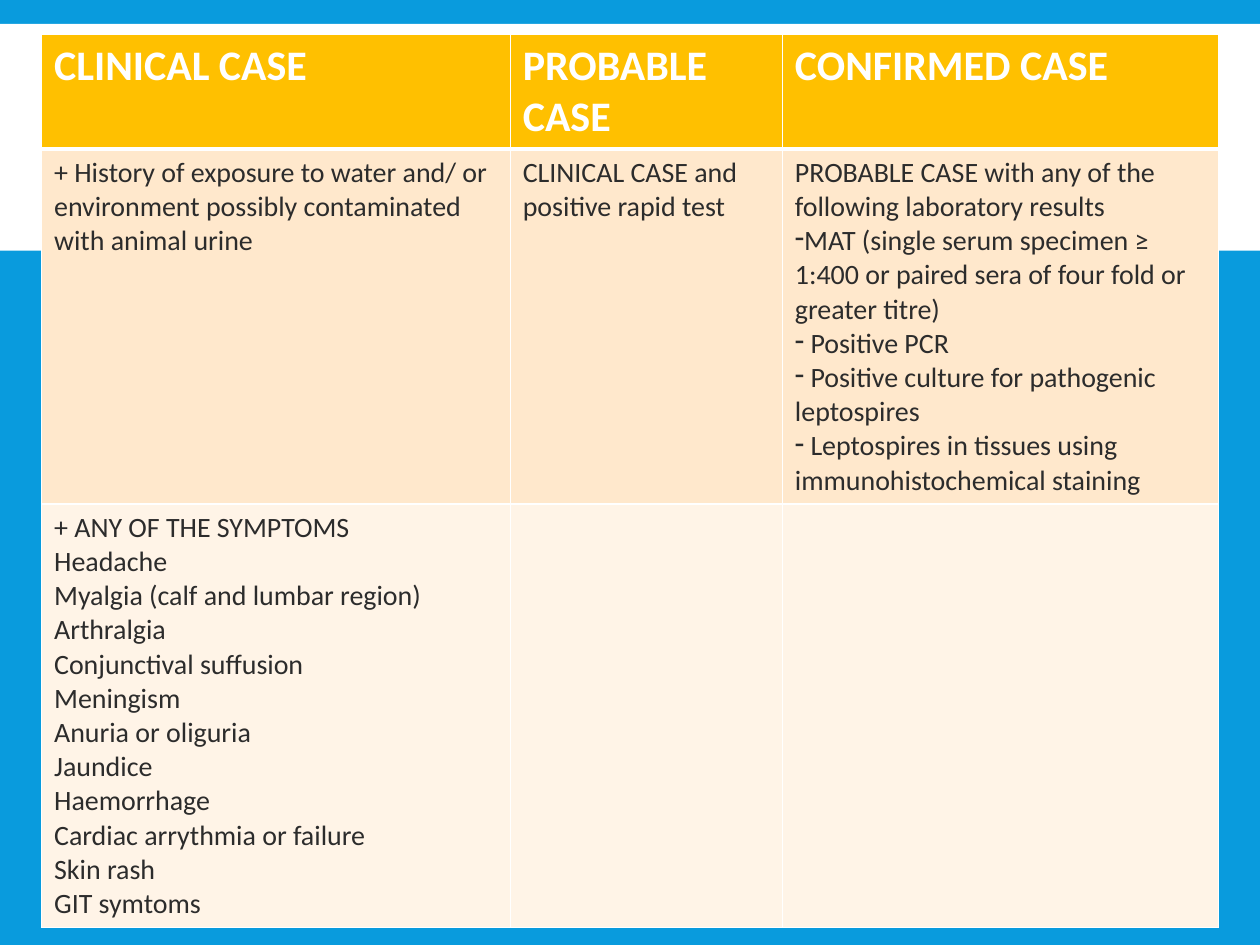
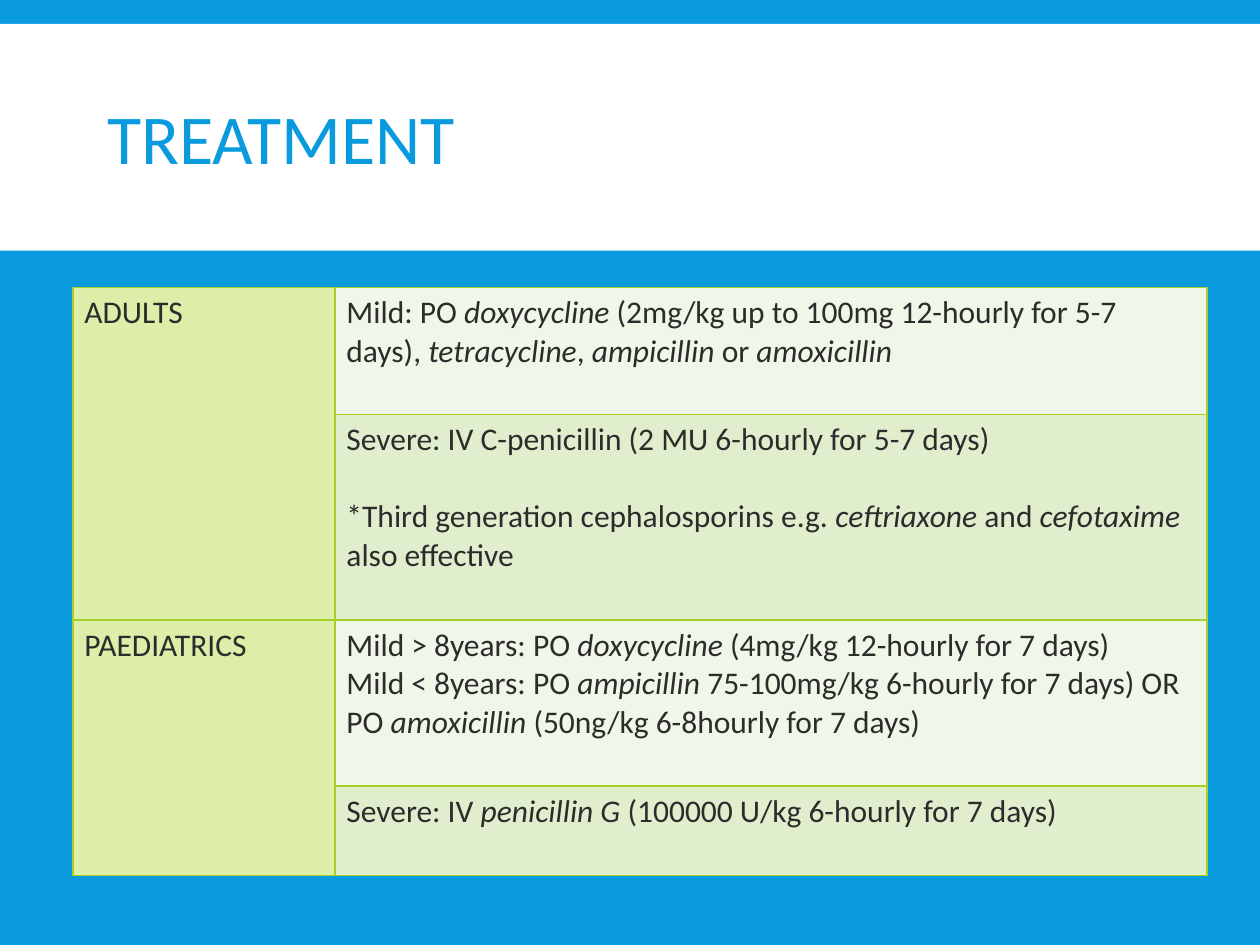
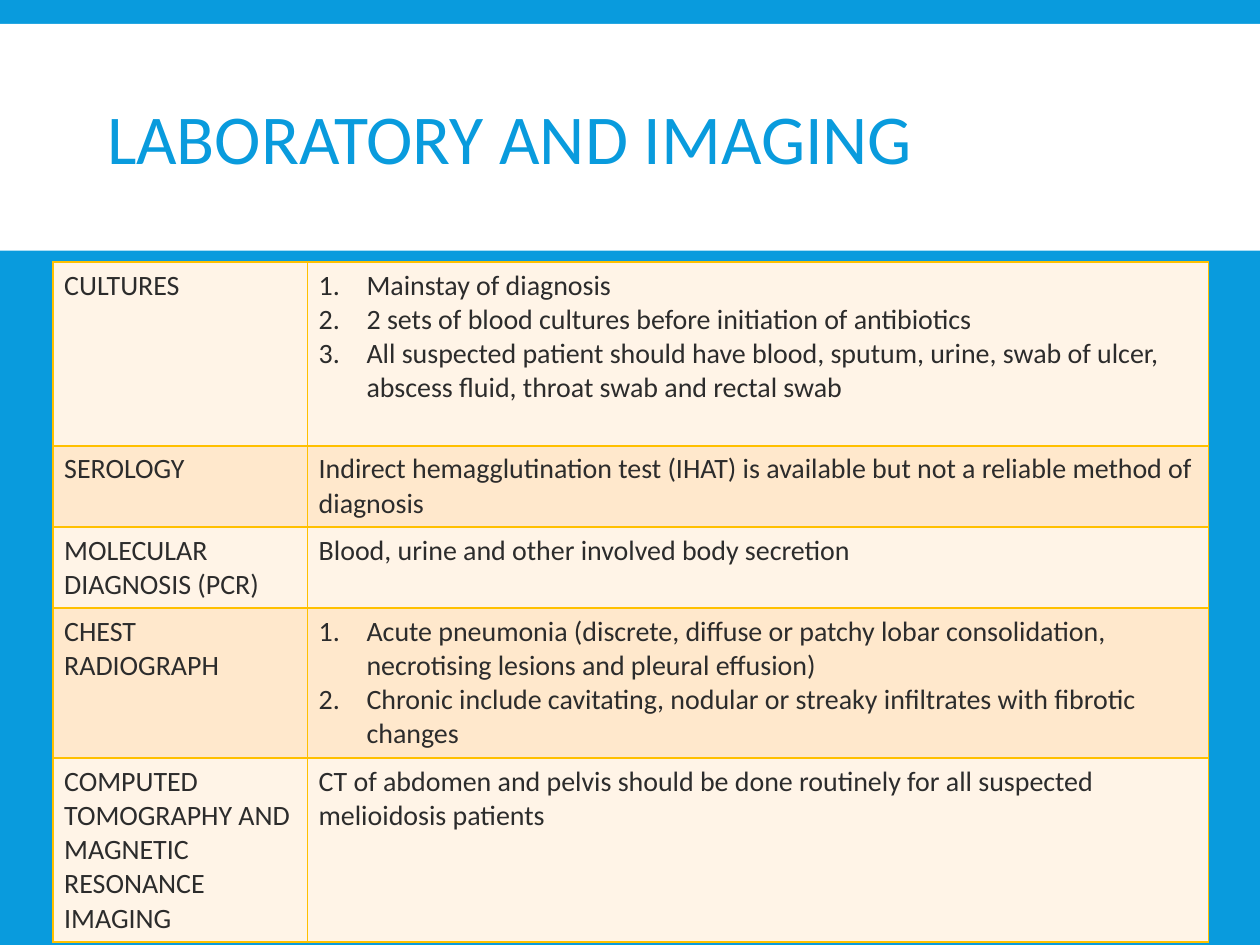
from dataclasses import dataclass

from lxml.etree import SubElement as Sub
from pptx import Presentation
from pptx.dml.color import RGBColor as Color
from pptx.enum.shapes import MSO_SHAPE as Shape
from pptx.enum.text import MSO_ANCHOR as Anchor, PP_ALIGN as Align
from pptx.oxml.ns import qn
from pptx.util import Inches, Pt

BLUE = Color(0x09, 0x9B, 0xDD)
WHITE = Color(0xFF, 0xFF, 0xFF)
INK = Color(0x2C, 0x2C, 0x2C)
GOLD = Color(0xFF, 0xC0, 0x00)
PEACH = Color(0xFF, 0xE8, 0xCC)
CREAM = Color(0xFF, 0xF4, 0xE7)
LIME = Color(0xA5, 0xD0, 0x28)
PALE = Color(0xDC, 0xEE, 0xA7)
MINT = Color(0xF0, 0xF7, 0xE8)
SAGE = Color(0xE1, 0xEE, 0xCD)
FONT = "Calibri"
COLS, ROWS = 100, 75
TITLE, BLANK = 5, 6


@dataclass
class Para:
    """A paragraph whose italic words stand between underscores."""
    text: str
    mark: str = ""
    gap: float = 0


@dataclass
class Look:
    """The text size, line colour and side inset of a table."""
    size: int
    line: Color
    inset: float


def grid(count):
    """Return the length of a number of grid steps."""
    return Inches(count / 10)


def place(shape, left, top, width, height):
    """Put a shape on the grid."""
    shape.left, shape.top = grid(left), grid(top)
    shape.width, shape.height = grid(width), grid(height)


def add_run(para, text, size, color, bold=False, italic=False):
    """Add one formatted run to a paragraph."""
    run = para.add_run()
    run.text = text
    font = run.font
    font.name, font.size, font.bold, font.italic = FONT, Pt(size), bold, italic
    font.color.rgb = color


def set_mark(para, mark):
    """Give a paragraph a number or a bullet character."""
    props = para._p.get_or_add_pPr()
    step = Inches(0.38) if mark == "1." else 0
    props.set("marL", str(step))
    props.set("indent", str(-step))
    if mark == "1.":
        Sub(props, qn("a:buAutoNum"), type="arabicPeriod")
    else:
        Sub(props, qn("a:buChar"), char=mark)


def write(frame, paras, size, color, bold=False):
    """Fill a text frame with paragraphs."""
    for i, item in enumerate(paras):
        item = item if isinstance(item, Para) else Para(item)
        para = frame.add_paragraph() if i else frame.paragraphs[0]
        para.space_before = Pt(item.gap)
        if item.mark:
            set_mark(para, item.mark)
        for j, part in enumerate(item.text.split("_")):
            if part:
                add_run(para, part, size, color, bold, j % 2 == 1)


def set_edge(cell, side, color, width):
    """Draw one border of a cell."""
    props = cell._tc.get_or_add_tcPr()
    line = Sub(props, qn(f"a:ln{side}"), w=str(Pt(width)))
    fill = Sub(line, qn("a:solidFill"))
    Sub(fill, qn("a:srgbClr"), val=str(color))


def style(cell, fill, look, base=1):
    """Set the borders, fill and insets of a cell."""
    for side in "LRTB":
        set_edge(cell, side, look.line, base if side == "B" else 1)
    cell.fill.solid()
    cell.fill.fore_color.rgb = fill
    cell.margin_left = cell.margin_right = Inches(look.inset)
    cell.margin_top = cell.margin_bottom = Inches(0.05)


def add_grid(slide, spot, widths, heights, data, fills, look, head=False):
    """Add a table with a fill for each cell."""
    frame = slide.shapes.add_table(
        len(heights), len(widths), grid(spot[0]), grid(spot[1]),
        grid(sum(widths)), grid(sum(heights)))
    table = frame.table
    table.first_row = table.horz_banding = False
    for col, width in zip(table.columns, widths):
        col.width = grid(width)
    for row, height in zip(table.rows, heights):
        row.height = grid(height)
    for i, (row, texts, tints) in enumerate(zip(table.rows, data, fills)):
        top = head and i == 0
        for cell, paras, tint in zip(row.cells, texts, tints):
            style(cell, tint, look, 3 if top else 1)
            write(cell.text_frame, paras, 24 if top else look.size,
                  WHITE if top else INK, top)
    return table


def set_theme(deck, slide):
    """Give the master its blue ground and white band."""
    master = deck.slide_master
    ground = master.background.fill
    ground.solid()
    ground.fore_color.rgb = BLUE
    band = slide.shapes.add_shape(Shape.RECTANGLE, 0, 0, 1, 1)
    place(band, 0, 1.9, COLS, 18)
    band.shadow.inherit = False
    band.fill.solid()
    band.fill.fore_color.rgb = WHITE
    band.line.fill.background()
    master.shapes.element.insert(2, band.element)


def add_title(deck, text):
    """Add a slide with a title in the band."""
    slide = deck.slides.add_slide(deck.slide_layouts[TITLE])
    title = slide.shapes.title
    place(title, 7.5, 3.1, 85, 16.5)
    frame = title.text_frame
    frame.vertical_anchor = Anchor.MIDDLE
    frame.word_wrap = True
    para = frame.paragraphs[0]
    para.alignment, para.line_spacing = Align.LEFT, 0.85
    add_run(para, text, 40, BLUE)
    return slide


def add_cases(slide):
    """Add the table of case definitions."""
    data = [
        [["CLINICAL CASE"], ["PROBABLE CASE"], ["CONFIRMED CASE"]],
        [["+ History of exposure to water and/ or environment possibly "
          "contaminated with animal urine"],
         ["CLINICAL CASE and positive rapid test"],
         ["PROBABLE CASE with any of the following laboratory results",
          Para("MAT (single serum specimen ≥ 1:400 or paired sera of four "
               "fold or greater titre)", "-"),
          Para(" Positive PCR", "-"),
          Para(" Positive culture for pathogenic leptospires", "-"),
          Para(" Leptospires in tissues using immunohistochemical staining",
               "-")]],
        [["+ ANY OF THE SYMPTOMS", "Headache",
          "Myalgia (calf and lumbar region)", "Arthralgia",
          "Conjunctival suffusion", "Meningism", "Anuria or oliguria",
          "Jaundice", "Haemorrhage", "Cardiac arrythmia or failure",
          "Skin rash", "GIT symtoms"], [], []],
    ]
    fills = [[tint] * 3 for tint in (GOLD, PEACH, CREAM)]
    add_grid(slide, (3.3, 2.7), (37.2, 21.6, 34.6), (9.1, 28.1, 33.6),
             data, fills, Look(16, WHITE, 0.1), head=True)


def add_drugs(slide):
    """Add the table of treatments by age group."""
    data = [
        [["ADULTS"],
         ["Mild: PO _doxycycline_ (2mg/kg up to 100mg 12-hourly for 5-7 "
          "days), _tetracycline_, _ampicillin_ or _amoxicillin_"]],
        [[], ["Severe: IV C-penicillin (2 MU 6-hourly for 5-7 days)",
              Para("*Third generation cephalosporins e.g. _ceftriaxone_ and "
                   "_cefotaxime_ also effective", gap=22)]],
        [["PAEDIATRICS"],
         ["Mild > 8years: PO _doxycycline_ (4mg/kg 12-hourly for 7 days)",
          "Mild < 8years: PO _ampicillin_ 75-100mg/kg 6-hourly for 7 days) "
          "OR PO _amoxicillin_ (50ng/kg 6-8hourly for 7 days)"]],
        [[], ["Severe: IV _penicillin G _(100000 U/kg 6-hourly for 7 days)"]],
    ]
    fills = [[PALE, MINT], [PALE, SAGE]] * 2
    table = add_grid(slide, (5.8, 22.8), (20.8, 69.2),
                     (10.1, 16.3, 13.2, 7.1), data, fills,
                     Look(18, LIME, 0.09))
    for top in (0, 2):
        table.cell(top, 0).merge(table.cell(top + 1, 0))


def add_tests(slide):
    """Add the table of laboratory and imaging tests."""
    data = [
        [["CULTURES"],
         [Para("Mainstay of diagnosis", "1."),
          Para("2 sets of blood cultures before initiation of antibiotics",
               "1."),
          Para("All suspected patient should have blood, sputum, urine, swab "
               "of ulcer, abscess fluid, throat swab and rectal swab", "1.")]],
        [["SEROLOGY"],
         ["Indirect hemagglutination test (IHAT) is available but not a "
          "reliable method of diagnosis"]],
        [["MOLECULAR DIAGNOSIS (PCR)"],
         ["Blood, urine and other involved body secretion"]],
        [["CHEST RADIOGRAPH"],
         [Para("Acute pneumonia (discrete, diffuse or patchy lobar "
               "consolidation, necrotising lesions and pleural effusion)",
               "1."),
          Para("Chronic include cavitating, nodular or streaky infiltrates "
               "with fibrotic changes", "1.")]],
        [["COMPUTED TOMOGRAPHY AND MAGNETIC RESONANCE IMAGING"],
         ["CT of abdomen and pelvis should be done routinely for all "
          "suspected melioidosis patients"]],
    ]
    fills = [[PEACH if i % 2 else CREAM] * 2 for i in range(len(data))]
    add_grid(slide, (4.2, 20.8), (20.2, 71.5), (14.6, 6.4, 6.4, 11.9, 14.6),
             data, fills, Look(16, GOLD, 0.09))


def main():
    """Build and save the deck."""
    deck = Presentation()
    deck.slide_width, deck.slide_height = grid(COLS), grid(ROWS)
    first = deck.slides.add_slide(deck.slide_layouts[BLANK])
    set_theme(deck, first)
    add_cases(first)
    add_drugs(add_title(deck, "TREATMENT"))
    add_tests(add_title(deck, "LABORATORY AND IMAGING"))
    deck.save("out.pptx")


if __name__ == "__main__":
    main()
